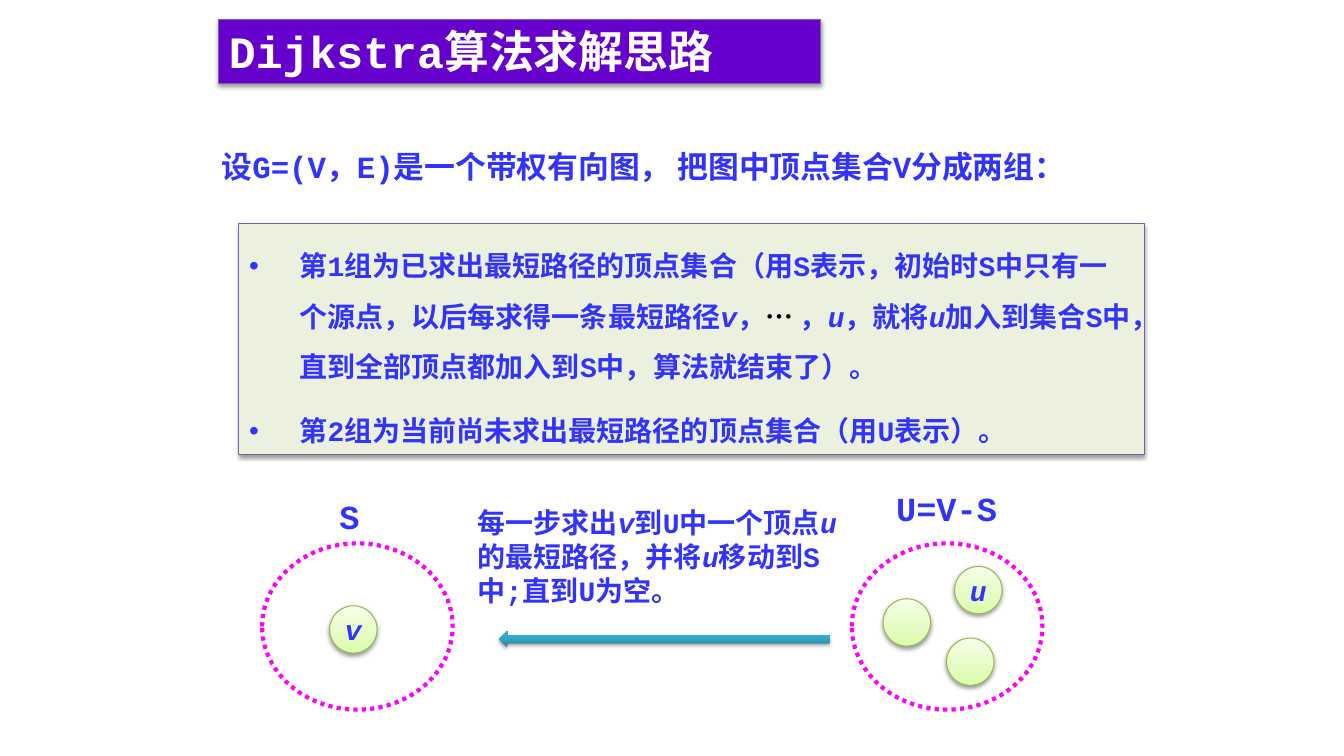
from lxml.etree import SubElement
from pptx import Presentation
from pptx.dml.color import RGBColor
from pptx.enum.dml import MSO_LINE
from pptx.enum.shapes import MSO_SHAPE
from pptx.enum.text import MSO_ANCHOR, MSO_AUTO_SIZE, PP_ALIGN
from pptx.oxml import parse_xml
from pptx.oxml.ns import nsdecls, qn
from pptx.util import Inches, Pt

COLORS = {
    "title": "6600CC", "panel": "EBF1DE", "border": "7D60A0",
    "text": "3333FF", "white": "FFFFFF", "black": "000000",
    "set": "FF00FF", "vertex": "98B955",
}
VERTEX_STOPS = [(0, "DAFDA7"), (35, "E4FCC2"), (100, "F5FFE7")]
ARROW_STOPS = [(0, "2A88A2"), (80, "37B1D2"), (100, "34B4D6")]

presentation = Presentation()
presentation.slide_width, presentation.slide_height = Inches(13.33), Inches(7.5)
slide = presentation.slides.add_slide(presentation.slide_layouts[1])


def area(left, top, width, height):
    """Turn percentages of the slide into left, top, width and height."""
    across, down = presentation.slide_width / 100, presentation.slide_height / 100
    return [int(left * across), int(top * down), int(width * across), int(height * down)]


def write(paragraph, text, size, color="text"):
    """Fill a paragraph; bars separate runs, and the vertices u and v are italic."""
    for piece in text.split("|"):
        run = paragraph.add_run()
        run.text = piece
        run.font.name, run.font.size, run.font.bold = "Courier New", Pt(size), True
        run.font.italic = piece in ("u", "v")
        shade = "black" if piece.startswith("…") else color
        run.font.color.rgb = RGBColor.from_string(COLORS[shade])


# Title bar and list panel
title, panel = slide.shapes.title, slide.placeholders[1]
for shape, place, fill in [
    (title, (16.28, 2.53, 44.78, 8.53), "title"),
    (panel, (17.78, 29.6, 67.35, 30.53), "panel"),
]:
    shape.left, shape.top, shape.width, shape.height = area(*place)
    shape.fill.solid()
    shape.fill.fore_color.rgb = RGBColor.from_string(COLORS[fill])
    shape.line.color.rgb = RGBColor.from_string(COLORS["border"])
    shape.line.width = Pt(0.75)
    shape.text_frame.auto_size = MSO_AUTO_SIZE.NONE
    shape.text_frame.vertical_anchor = MSO_ANCHOR.TOP

heading = title.text_frame.paragraphs[0]
heading.alignment = PP_ALIGN.LEFT
write(heading, "Dijkstra算法求解思路", 32, "white")

panel.text_frame.margin_top = panel.text_frame.margin_bottom = Inches(0.08)
groups = [
    "第1组为已求出最短路径的顶点集合（用S表示，初始时S中只有一个源点，以后每求得一条最短路径"
    "|v|，|… |，|u|，就将|u|加入到集合S中，直到全部顶点都加入到S中，算法就结束了）。",
    "第2组为当前尚未求出最短路径的顶点集合（用U表示）。",
]
for number, group in enumerate(groups):
    paragraph = panel.text_frame.add_paragraph() if number else panel.text_frame.paragraphs[0]
    properties = paragraph._p.get_or_add_pPr()
    properties.set("marL", str(Inches(0.5)))
    properties.set("indent", str(-Inches(0.5)))
    SubElement(properties, qn("a:buChar")).set("char", "•")
    paragraph.line_spacing = 1.5
    paragraph.space_before = Pt(10 * number)
    write(paragraph, group, 20)

# Introduction, set labels and caption: place, text, size, alignment, margin
labels = [
    ((15.75, 18.93, 68, 6.27), "设G=(V，E)是一个带权有向图， 把图中顶点集合V分成两组：",
     22, PP_ALIGN.LEFT, None),
    ((23.63, 65.6, 4.73, 5.33), "S", 24, PP_ALIGN.CENTER, 0),
    ((66.3, 64.53, 8.25, 5.33), "U=V-S", 24, PP_ALIGN.CENTER, 0),
    ((34.8, 66.27, 28.73, 14.8),
     "每一步求出|v|到U中一个顶点|u|的最短路径，并将|u|移动到S中;直到U为空。",
     20, PP_ALIGN.LEFT, None),
]
for place, text, size, alignment, margin in labels:
    frame = slide.shapes.add_textbox(*area(*place)).text_frame
    frame.word_wrap = True
    if margin is not None:
        frame.margin_left = frame.margin_right = margin
        frame.margin_top = frame.margin_bottom = margin
    frame.paragraphs[0].alignment = alignment
    write(frame.paragraphs[0], text, size)

# Dotted outlines of the sets S and U
for left in (19.5, 63.38):
    outline = slide.shapes.add_shape(MSO_SHAPE.OVAL, *area(left, 71.87, 14.18, 22))
    outline.shadow.inherit = False
    outline.fill.background()
    outline.line.color.rgb = RGBColor.from_string(COLORS["set"])
    outline.line.width = Pt(3)
    outline.line.dash_style = MSO_LINE.ROUND_DOT

# Vertices
gradients = []
for left, top, name in [
    (24.53, 80.13, "v"), (71.03, 74.93, "u"), (70.43, 84.4, ""), (65.7, 79.2, ""),
]:
    vertex = slide.shapes.add_shape(MSO_SHAPE.OVAL, *area(left, top, 3.53, 6.27))
    vertex.line.color.rgb = RGBColor.from_string(COLORS["vertex"])
    vertex.line.width = Pt(0.75)
    gradients.append((vertex, VERTEX_STOPS))
    if name:
        vertex.text_frame.word_wrap = False
        vertex.text_frame.paragraphs[0].alignment = PP_ALIGN.CENTER
        write(vertex.text_frame.paragraphs[0], name, 20)

# Arrow from U to S
arrow = slide.shapes.add_shape(MSO_SHAPE.LEFT_ARROW, *area(37.13, 83.47, 24.6, 2.13))
arrow.line.fill.background()
gradients.append((arrow, ARROW_STOPS))

# Gradient fills
for shape, stops in gradients:
    shape.fill.gradient()
    shape.fill.gradient_angle = 90
    stop_list = shape._element.spPr.find(".//" + qn("a:gsLst"))
    stop_list.clear()
    for position, color in stops:
        stop = SubElement(stop_list, qn("a:gs"), pos=str(position * 1000))
        SubElement(stop, qn("a:srgbClr"), val=color)

# Soft shadows
for shape in [title, panel] + [shape for shape, stops in gradients]:
    shape._element.spPr.append(parse_xml(
        f'<a:effectLst {nsdecls("a")}>'
        f'<a:outerShdw blurRad="{Pt(3.1)}" dist="{Pt(1.6)}" dir="5400000" rotWithShape="0">'
        f'<a:srgbClr val="{COLORS["black"]}"><a:alpha val="38000"/></a:srgbClr>'
        '</a:outerShdw></a:effectLst>'))

presentation.save("out.pptx")
